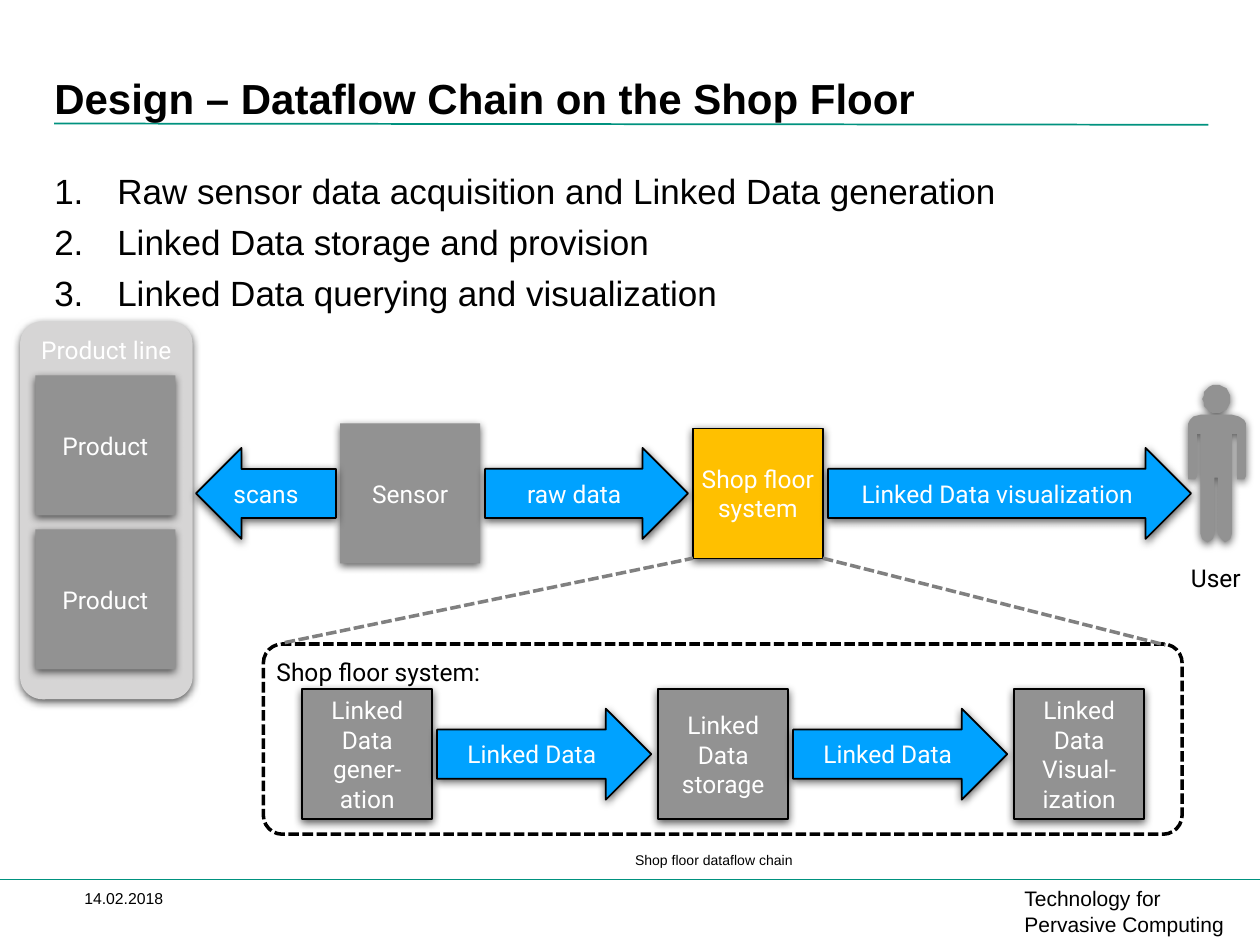
"""Builds the slide on the dataflow chain of the shop floor."""
import math
import pptx
import pptx.util
import pptx.dml.color
import pptx.enum.dml
import pptx.enum.shapes
import pptx.enum.text
import pptx.oxml
import pptx.oxml.ns

Pt = pptx.util.Pt
KIND = pptx.enum.shapes.MSO_SHAPE
ALIGN = pptx.enum.text.PP_ALIGN
ANCHOR = pptx.enum.text.MSO_ANCHOR
DASH = pptx.enum.dml.MSO_LINE_DASH_STYLE.SQUARE_DOT
NS = pptx.oxml.ns.nsdecls("a")

BLACK, WHITE, GREY, PALE = "000000", "FFFFFF", "929292", "D6D5D5"
BLUE, GOLD, GREEN, FAINT = "00A2FF", "FFC000", "00927F", "808080"

TITLE = "Design – Dataflow Chain on the Shop Floor"
STEPS = ["Raw sensor data acquisition and Linked Data generation",
         "Linked Data storage and provision",
         "Linked Data querying and visualization"]
LABELS = [
    ("Shop floor dataflow chain", 247, 483, 322, 17, 8, ALIGN.CENTER, 3.6),
    ("14.02.2018", 48.2, 507.6, 68, 10, 9, ALIGN.LEFT, 0),
    ("Technology for Pervasive Computing", 585.4, 506.2, 121, 28, 12, ALIGN.LEFT, 0),
]
LINES = [
    (31, 70.6, 690.5, 71.3, GREEN, 1, None),
    (0, 502.6, 720, 502.6, GREEN, 1, None),
    (470.2, 319, 666, 368.6, FAINT, 2, DASH),
    (162.7, 367.2, 396, 319, FAINT, 2, DASH),
]
MID, LOW = 282, 431
SIDE, CELL, TALL = 80, 74.2, 52
BOXES = [
    ("Product", 20.2, 254.5, SIDE, GREY, None),
    ("Product", 20.2, 342.5, SIDE, GREY, None),
    ("Sensor", 194.4, MID, SIDE, GREY, None),
    ("Shop floor system", 396, MID, CELL, GOLD, BLACK),
]
ARROWS = [
    ("raw data", 277.2, MID, 116),
    ("Linked Data visualization", 473.2, MID, 207.4),
]
CHAIN = ["Linked Data gener-ation", "Linked Data storage", "Linked Data Visual-ization"]
FIRST, STEP, SHIFT, SPAN = 172.8, 203.4, 77, 122.4
SCANS = [(137.5, 296), (137.5, 308.2), (112.3, 281.7), (137.5, 255.6),
         (137.5, 268), (191.5, 268), (191.5, 296)]
HEAD = (695.2, 228, 7.8)
HALF = [(9, 237), (13.3, 237.8), (15.5, 239.6), (16.6, 242.5), (16.6, 271.5),
        (15.8, 273.6), (14, 274.4), (12.2, 273.6), (11.4, 271.5), (11.4, 248.4),
        (9, 248.4), (9, 305.3), (7.9, 308.4), (5.1, 309.6), (2.3, 308.4),
        (1.2, 305.3), (1.2, 273)]


def tint(code):
    return pptx.dml.color.RGBColor.from_string(code)


def write(shape, text, size=14, color=WHITE, face="Roboto", align=ALIGN.CENTER,
          anchor=ANCHOR.MIDDLE, inset=4.3, bold=False, wrap=True):
    frame = shape.text_frame
    frame.word_wrap = wrap
    frame.vertical_anchor = anchor
    frame.margin_left = frame.margin_right = Pt(inset)
    frame.margin_top = frame.margin_bottom = Pt(inset)
    for num, part in enumerate([text] if isinstance(text, str) else text):
        para = frame.add_paragraph() if num else frame.paragraphs[0]
        para.alignment = align
        run = para.add_run()
        run.text = part
        run.font.size, run.font.name, run.font.bold = Pt(size), face, bold
        run.font.color.rgb = tint(color)
    return frame


def paint(shape, fill, line=None, width=1, shade=True):
    if fill:
        shape.fill.solid()
        shape.fill.fore_color.rgb = tint(fill)
    else:
        shape.fill.background()
    if line:
        shape.line.color.rgb = tint(line)
        shape.line.width = Pt(width)
    else:
        shape.line.fill.background()
    shape.shadow.inherit = False
    if shade:
        glow = pptx.oxml.parse_xml(
            f'<a:outerShdw {NS} blurRad="{Pt(5)}" dist="{Pt(1.5)}" dir="5400000" rotWithShape="0">'
            '<a:srgbClr val="000000"><a:alpha val="63000"/></a:srgbClr></a:outerShdw>')
        shape._element.spPr.find(pptx.oxml.ns.qn("a:effectLst")).append(glow)


def preset(shapes, kind, left, top, wide, high, adjust=()):
    shape = shapes.add_shape(kind, Pt(left), Pt(top), Pt(wide), Pt(high))
    for num, value in enumerate(adjust):
        shape.adjustments[num] = value
    return shape


def label(shapes, text, left, top, wide, high, **style):
    box = shapes.add_textbox(Pt(left), Pt(top), Pt(wide), Pt(high))
    return write(box, text, **style)


def square(shapes, text, left, mid, side, fill, line):
    shape = preset(shapes, KIND.RECTANGLE, left, mid - side / 2, side, side)
    paint(shape, fill, line)
    write(shape, text)


def arrow(shapes, text, left, mid, wide):
    shape = preset(shapes, KIND.RIGHT_ARROW, left, mid - TALL / 2, wide, TALL, (0.54, 0.5))
    paint(shape, BLUE, BLACK)
    write(shape, text)


def outline(shapes, *loops):
    pen = shapes.build_freeform(*loops[0][0], scale=float(Pt(1)))
    for num, loop in enumerate(loops):
        if num:
            pen.move_to(*loop[0])
        pen.add_line_segments(loop[1:], close=True)
    return pen.convert_to_shape()


def person(shapes):
    mid, high, size = HEAD
    turns = [math.radians(deg) for deg in range(0, 360, 15)]
    head = [(mid + size * math.cos(turn), high + size * math.sin(turn)) for turn in turns]
    body = [(mid + x, y) for x, y in HALF] + [(mid - x, y) for x, y in reversed(HALF)]
    paint(outline(shapes, head, body), GREY)


def main():
    deck = pptx.Presentation()
    deck.slide_width, deck.slide_height = Pt(720), Pt(540)
    shapes = deck.slides.add_slide(deck.slide_layouts[6]).shapes

    label(shapes, TITLE, 31, 26, 544, 44, size=24, color=BLACK, face="Arial",
          align=ALIGN.LEFT, anchor=ANCHOR.BOTTOM, inset=0, bold=True)
    steps = label(shapes, STEPS, 31, 97, 658, 383, size=20, color=BLACK, face="Arial",
                  align=ALIGN.LEFT, anchor=ANCHOR.TOP, inset=0)
    for num, para in enumerate(steps.paragraphs):
        props = para._p.get_or_add_pPr()
        props.set("marL", str(Pt(36)))
        props.set("indent", str(-Pt(36)))
        props.append(pptx.oxml.parse_xml(f'<a:buAutoNum {NS} type="arabicPeriod"/>'))
        if num:
            para.space_before = Pt(5)

    frame = preset(shapes, KIND.ROUNDED_RECTANGLE, 150.5, 368, 525, 108.7, (0.1,))
    paint(frame, None, BLACK, 2, False)
    frame.line.dash_style = DASH
    write(frame, "Shop floor system:", color=BLACK, align=ALIGN.LEFT, anchor=ANCHOR.TOP)
    line = preset(shapes, KIND.ROUNDED_RECTANGLE, 11.5, 183.6, 98.6, 216, (0.13,))
    paint(line, PALE)
    write(line, "Product line", anchor=ANCHOR.TOP)

    for box in BOXES:
        square(shapes, *box)
    for item in ARROWS:
        arrow(shapes, *item)
    for num, text in enumerate(CHAIN):
        left = FIRST + num * STEP
        square(shapes, text, left, LOW, CELL, GREY, BLACK)
        if num < len(CHAIN) - 1:
            arrow(shapes, "Linked Data", left + SHIFT, LOW, SPAN)
    scans = outline(shapes, SCANS)
    paint(scans, BLUE, BLACK)
    write(scans, "scans")
    person(shapes)
    label(shapes, "User", 676, 317.5, 37.5, 25, color=BLACK, wrap=False)

    for x, y, right, low, color, width, dash in LINES:
        rule = shapes.add_connector(pptx.enum.shapes.MSO_CONNECTOR.STRAIGHT,
                                    Pt(x), Pt(y), Pt(right), Pt(low))
        rule.line.color.rgb = tint(color)
        rule.line.width = Pt(width)
        if dash:
            rule.line.dash_style = dash
        rule._element.spPr.append(pptx.oxml.parse_xml(f"<a:effectLst {NS}/>"))
    for text, left, top, wide, high, size, align, inset in LABELS:
        label(shapes, text, left, top, wide, high, size=size, color=BLACK, face="Arial",
              align=align, anchor=ANCHOR.TOP, inset=inset)
    deck.save("out.pptx")


if __name__ == "__main__":
    main()
